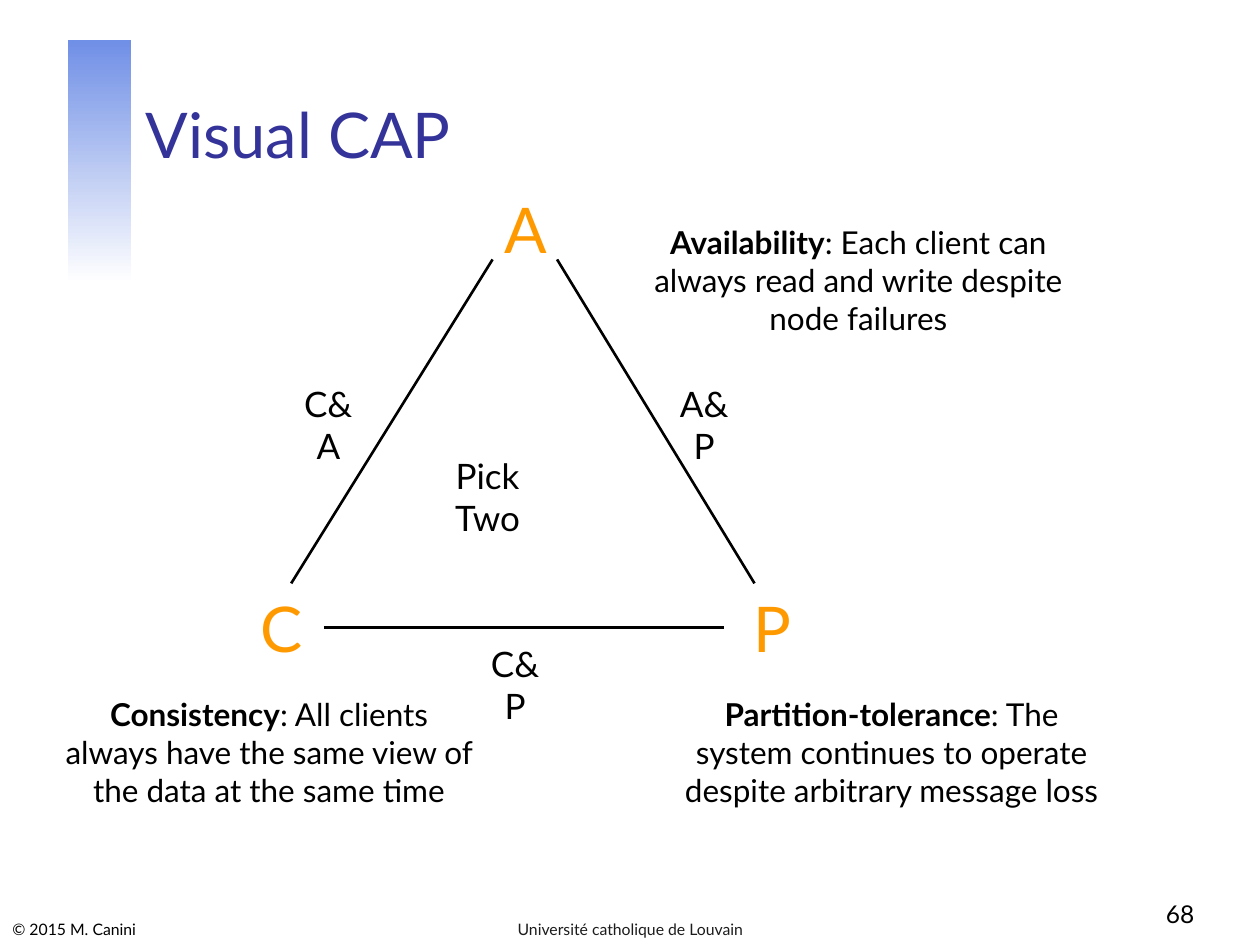
from lxml import etree
from pptx import Presentation
from pptx import util as u
from pptx.dml.color import RGBColor
from pptx.enum import shapes, text
from pptx.oxml.ns import qn

FONT = "Lato"
COLORS = {
    "bar_top": "708FE6",
    "bar_bottom": "FFFFFF",
    "title": "333399",
    "vertex": "FF9900",
    "body": "000000",
    "footer": "1C1C1C",
}
LEFT, CENTER, RIGHT = text.PP_ALIGN.LEFT, text.PP_ALIGN.CENTER, text.PP_ALIGN.RIGHT
TOP, BOTTOM = text.MSO_ANCHOR.TOP, text.MSO_ANCHOR.BOTTOM


def color(name):
    return RGBColor.from_string(COLORS[name])


def add_text(page, place, words, size, shade="body", align=CENTER,
             anchor=TOP, wrap=True, bold_lead="", side=0.25):
    """Add a one-paragraph text box, with an optional bold lead-in."""
    box = page.shapes.add_textbox(*map(u.Cm, place))
    frame = box.text_frame
    frame.word_wrap = wrap
    frame.vertical_anchor = anchor
    frame.margin_left = frame.margin_right = u.Cm(side)
    para = frame.paragraphs[0]
    para.alignment = align
    for part, bold in ((bold_lead, True), (words, False)):
        if part:
            span = para.add_run()
            span.text = part
            span.font.name = FONT
            span.font.size = u.Pt(size)
            span.font.bold = bold
            span.font.color.rgb = color(shade)


def add_edge(page, start, end):
    edge = page.shapes.add_connector(
        shapes.MSO_CONNECTOR.STRAIGHT, *map(u.Cm, start + end))
    edge.line.color.rgb = color("body")
    edge.line.width = u.Pt(1.5)
    etree.SubElement(edge._element.spPr, qn("a:effectLst"))


def add_gradient_bar(page):
    bar = page.shapes.add_shape(
        shapes.MSO_SHAPE.RECTANGLE, u.Cm(1.37), u.Cm(0.81), u.Cm(1.27), u.Cm(4.9))
    bar.shadow.inherit = False
    bar.line.fill.background()
    bar.fill.gradient()
    bar.fill.gradient_angle = 270
    for stop, name, position in zip(
            bar.fill.gradient_stops, ("bar_top", "bar_bottom"), (0, 1)):
        stop.color.rgb = color(name)
        stop.position = position


def main():
    deck = Presentation()
    deck.slide_width, deck.slide_height = u.Cm(25.4), u.Cm(19.05)
    page = deck.slides.add_slide(deck.slide_layouts[6])

    # Title and footer
    add_gradient_bar(page)
    add_text(page, (0, 18.34, 7.67, 0.71), "© 2015 M. Canini", 9,
             align=LEFT, anchor=BOTTOM)
    add_text(page, (2.69, 0.84, 21.64, 2.74), "Visual CAP", 36, "title",
             align=LEFT, anchor=BOTTOM)
    add_text(page, (19.05, 17.58, 5.28, 1.27), "68", 14,
             align=RIGHT, anchor=BOTTOM)
    add_text(page, (8.69, 18.34, 8.03, 0.71), "Université catholique de Louvain",
             9, "footer", anchor=BOTTOM)

    # Triangle vertices
    for letter, left, top, width in (
            ("A", 9.93, 3.71, 1.3), ("C", 5, 11.76, 1.3), ("P", 14.94, 11.76, 1.22)):
        add_text(page, (left, top, width, 1.8), letter, 36, "vertex", wrap=False)

    # Triangle edges
    for start, end in (
            ((5.87, 11.76), (9.93, 5.23)),
            ((15.21, 11.76), (11.23, 5.23)),
            ((6.53, 12.65), (14.6, 12.65))):
        add_edge(page, start, end)

    # Two-line labels, narrow enough to wrap
    for label, left, top, width in (
            ("Pick Two", 8.94, 9.04, 1.78), ("C&P", 9.65, 12.83, 1.47),
            ("C&A", 5.89, 7.59, 1.47), ("A&P", 13.46, 7.59, 1.47)):
        add_text(page, (left, top, width, 1.96), label, 20, side=0.13)

    # Definitions
    for term, meaning, left, top, width in (
            ("Availability",
             ": Each client can always read and write despite node failures",
             12.9, 4.37, 8.81),
            ("Consistency",
             ": All clients always have the same view of the data at the same time",
             1.02, 13.89, 8.81),
            ("Partition-tolerance",
             ": The system continues to operate despite arbitrary message loss",
             13.44, 13.89, 9.07)):
        add_text(page, (left, top, width, 2.57), meaning, 18, bold_lead=term)

    deck.save("out.pptx")


if __name__ == "__main__":
    main()
